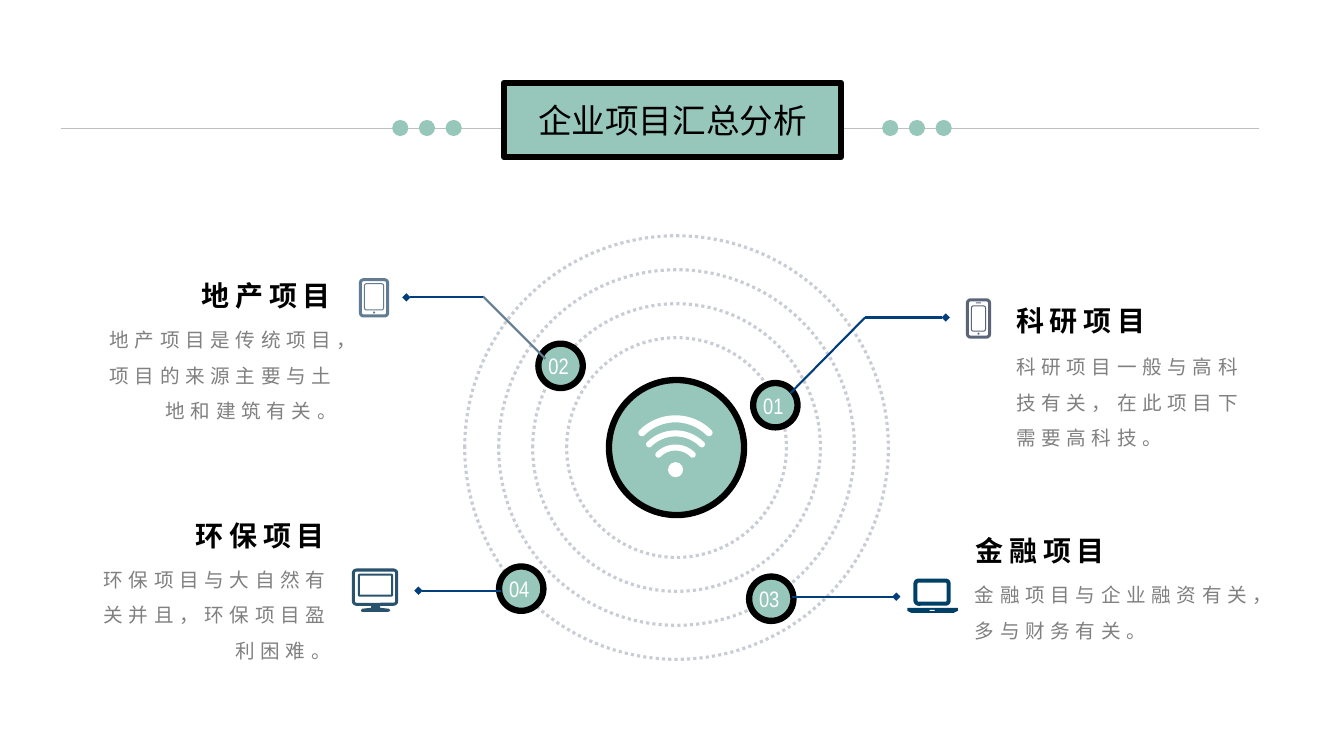
import math

import pptx
import pptx.dml.color
import pptx.enum.dml
import pptx.enum.shapes
import pptx.enum.text
import pptx.oxml.ns
import pptx.util
from lxml import etree
from pptx.util import Inches

CJK = "Noto Sans CJK JP"
MINT, BLACK, WHITE, GREY = "97C6BB", "000000", "FFFFFF", "808080"
NAVY, SLATE = "003F7B", "627C93"
SHAPES = pptx.enum.shapes.MSO_SHAPE
ALIGN = pptx.enum.text.PP_ALIGN
HUB_X, HUB_Y = 6.71, 4.44


def rgb(value):
    return pptx.dml.color.RGBColor.from_string(value)


def add_xml(parent, tag, **attributes):
    return etree.SubElement(parent, pptx.oxml.ns.qn(tag), **attributes)


def paint(shape, fill=None, line=None, weight=0):
    if fill:
        shape.fill.solid()
        shape.fill.fore_color.rgb = rgb(fill)
    else:
        shape.fill.background()
    if line:
        shape.line.color.rgb = rgb(line)
        shape.line.width = pptx.util.Pt(weight)
    else:
        shape.line.fill.background()


def set_text(paragraph, text, size, color, font=CJK, bold=False, spacing=0):
    paragraph.text = text
    paragraph.font.size = pptx.util.Pt(size)
    paragraph.font.bold = bold
    paragraph.font.color.rgb = rgb(color)
    paragraph.font.name = font
    properties = paragraph.font._element
    add_xml(properties, "a:ea", typeface=font)
    if spacing:
        properties.set("spc", str(spacing * 100))


def add_preset(slide, kind, box, **style):
    shape = slide.shapes.add_shape(kind, *map(Inches, box))
    shape.shadow.inherit = False
    paint(shape, **style)
    return shape


def add_circle(slide, x, y, diameter, **style):
    box = (x - diameter / 2, y - diameter / 2, diameter, diameter)
    return add_preset(slide, SHAPES.OVAL, box, **style)


def add_outline(slide, points, fill):
    corners = [(Inches(x), Inches(y)) for x, y in points]
    builder = slide.shapes.build_freeform(*corners[0])
    builder.add_line_segments(corners[1:], close=True)
    shape = builder.convert_to_shape()
    shape.shadow.inherit = False
    paint(shape, fill)


def add_frame(slide, box, thickness, radius, color):
    """Rounded frame whose outer edge is the box."""
    left, top, width, height = box
    inner = (left + thickness / 2, top + thickness / 2, width - thickness, height - thickness)
    frame = add_preset(slide, SHAPES.ROUNDED_RECTANGLE, inner, line=color, weight=thickness * 72)
    frame.adjustments[0] = radius / min(inner[2:])


def add_line(slide, start, end, color, weight, diamond=False):
    line = slide.shapes.add_connector(
        pptx.enum.shapes.MSO_CONNECTOR.STRAIGHT, *map(Inches, start + end))
    line.line.color.rgb = rgb(color)
    line.line.width = pptx.util.Pt(weight)
    if diamond:
        add_xml(line.line._get_or_add_ln(), "a:tailEnd", type="diamond")
    add_xml(line._element.spPr, "a:effectLst")


def add_title(slide, text):
    title = slide.shapes.title
    title.left, title.top, title.width, title.height = map(Inches, (5, 0.82, 3.34, 0.74))
    pill = add_xml(title._element.spPr, "a:prstGeom", prst="roundRect")
    add_xml(add_xml(pill, "a:avLst"), "a:gd", name="adj", fmla="val 50000")
    paint(title, MINT, BLACK, 4.5)
    frame = title.text_frame
    frame.auto_size = pptx.enum.text.MSO_AUTO_SIZE.NONE
    frame.vertical_anchor = pptx.enum.text.MSO_ANCHOR.MIDDLE
    frame.paragraphs[0].alignment = ALIGN.CENTER
    set_text(frame.paragraphs[0], text, 24, BLACK)
    # Lift the pill above the divider
    slide.shapes._spTree.append(title._element)


def add_badge(slide, number, x, y):
    badge = add_circle(slide, x, y, 0.44, fill=MINT, line=BLACK, weight=4.5)
    frame = badge.text_frame
    frame.word_wrap = False
    frame.margin_left = frame.margin_top = frame.margin_bottom = 0
    frame.margin_right = Inches(0.04)
    frame.vertical_anchor = pptx.enum.text.MSO_ANCHOR.MIDDLE
    frame.paragraphs[0].alignment = ALIGN.CENTER
    set_text(frame.paragraphs[0], number, 16, WHITE, "Arial Narrow")


def add_copy(slide, box, text, align, **style):
    frame = slide.shapes.add_textbox(*map(Inches, box)).text_frame
    frame.word_wrap = True
    paragraph = frame.paragraphs[0]
    paragraph.alignment = align
    paragraph.line_spacing = 1.5
    set_text(paragraph, text, spacing=4, **style)


def add_wifi_arc(slide, x, top, radius, thickness):
    """Quarter-circle band with round ends, open downwards."""
    half = thickness / 2
    y = top + half + radius

    def sweep(cx, cy, r, first, last):
        angles = [math.radians(first + (last - first) * i / 16) for i in range(17)]
        return [(cx + r * math.sin(a), cy - r * math.cos(a)) for a in angles]

    reach = radius * math.sin(math.radians(45))
    points = (sweep(x, y, radius + half, -45, 45)
              + sweep(x + reach, y - reach, half, 45, 225)
              + sweep(x, y, radius - half, 45, -45)
              + sweep(x - reach, y - reach, half, 135, 315))
    add_outline(slide, points, WHITE)


def add_wifi(slide):
    for top, radius, thickness in ((4.12, 0.47, 0.07), (4.27, 0.37, 0.06), (4.41, 0.24, 0.06)):
        add_wifi_arc(slide, 6.7, top, radius, thickness)
    add_circle(slide, 6.7, 4.66, 0.15, fill=WHITE)


def add_handset(slide, body, screen, color):
    add_frame(slide, body, 0.03, 0.03, color)
    add_frame(slide, screen, 0.01, 0.02, color)
    add_circle(slide, body[0] + body[2] / 2, body[1] + body[3] - 0.05, 0.02, fill=color)


def add_monitor(slide, color):
    add_frame(slide, (3.49, 5.64, 0.46, 0.37), 0.03, 0.03, color)
    add_frame(slide, (3.55, 5.69, 0.35, 0.23), 0.02, 0.01, color)
    add_outline(slide, [(3.68, 6), (3.77, 6), (3.77, 6.03), (3.86, 6.04), (3.87, 6.06),
                        (3.85, 6.07), (3.59, 6.07), (3.58, 6.06), (3.59, 6.04), (3.68, 6.03)], color)


def add_laptop(slide, color):
    add_frame(slide, (9.06, 5.74, 0.37, 0.27), 0.04, 0.03, color)
    add_outline(slide, [(9, 6.03), (9.5, 6.03), (9.5, 6.06), (9.46, 6.08),
                        (9.04, 6.08), (9, 6.06)], color)
    add_preset(slide, SHAPES.RECTANGLE, (9.22, 6.05, 0.05, 0.01), fill=WHITE)


def main():
    deck = pptx.Presentation()
    deck.slide_width, deck.slide_height = Inches(13.33), Inches(7.5)
    slide = deck.slides.add_slide(deck.slide_layouts[5])

    # Heading with divider and dots
    add_line(slide, (0.61, 1.27), (12.49, 1.27), "BFBFBF", 0.25)
    add_title(slide, "企业项目汇总分析")
    for first_dot in (3.97, 8.83):
        for i in range(3):
            add_circle(slide, first_dot + 0.265 * i, 1.27, 0.16, fill=MINT)

    # Hub, rings and wireless sign
    add_circle(slide, HUB_X, HUB_Y, 1.34, fill=MINT, line=BLACK, weight=4.5)
    for i in range(4):
        ring = add_circle(slide, HUB_X, HUB_Y, 2.18 + 0.674 * i, line="C8CDD5", weight=2.25)
        ring.line.dash_style = pptx.enum.dml.MSO_LINE.ROUND_DOT
    add_wifi(slide)

    # Numbered badges
    for number, x, y in (("01", 7.69, 4.02), ("02", 5.56, 3.63),
                         ("03", 7.65, 5.94), ("04", 5.17, 5.84)):
        add_badge(slide, number, x, y)

    # Device icons
    add_handset(slide, (9.58, 2.96, 0.25, 0.4), (9.63, 3.03, 0.15, 0.26), "5C6578")
    add_preset(slide, SHAPES.RECTANGLE, (9.68, 3, 0.05, 0.01), fill="5C6578")
    add_handset(slide, (3.56, 2.76, 0.3, 0.39), (3.61, 2.81, 0.2, 0.27), SLATE)
    add_monitor(slide, "29536C")
    add_laptop(slide, "004066")

    # Leader lines
    add_line(slide, (7.84, 3.9), (8.58, 3.15), NAVY, 1.5)
    add_line(slide, (5.41, 3.56), (4.79, 2.94), SLATE, 1.5)
    for start, end in (((8.58, 3.15), (9.38, 3.15)), ((4.79, 2.95), (4.03, 2.95)),
                       ((4.97, 5.86), (4.15, 5.86)), ((7.86, 5.92), (8.89, 5.92))):
        add_line(slide, start, end, NAVY, 1.5, diamond=True)

    # Project names and descriptions
    for name, name_at, detail, detail_box, align in (
            ("地产项目", (1.34, 2.55), "地产项目是传统项目，项目的来源主要与土地和建筑有关。",
             (0.8, 3.09, 2.64, 1.12), ALIGN.RIGHT),
            ("环保项目", (1.28, 4.93), "环保项目与大自然有关并且，环保项目盈利困难。",
             (0.74, 5.47, 2.64, 1.12), ALIGN.RIGHT),
            ("科研项目", (9.98, 2.79), "科研项目一般与高科技有关，在此项目下需要高科技。",
             (9.98, 3.36, 2.7, 1.12), ALIGN.LEFT),
            ("金融项目", (9.58, 5.08), "金融项目与企业融资有关，多与财务有关。",
             (9.57, 5.62, 3.03, 0.77), ALIGN.LEFT)):
        add_copy(slide, name_at + (2.04, 0.55), name, align, size=20, color=BLACK, bold=True)
        add_copy(slide, detail_box, detail, align, size=14, color=GREY)

    deck.save("out.pptx")


if __name__ == "__main__":
    main()
